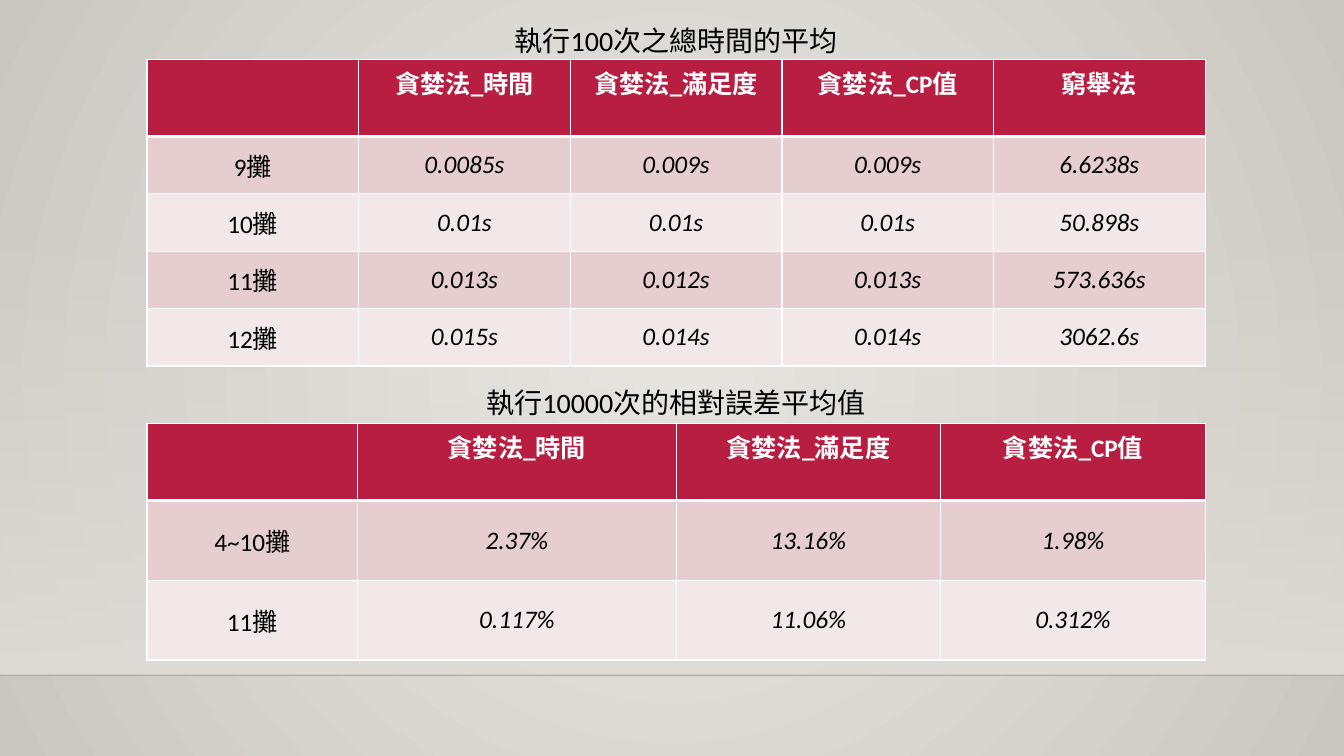
from lxml import etree
from pptx import Presentation
from pptx import util as u
from pptx.dml.color import RGBColor
from pptx.enum import shapes, text
from pptx.oxml import ns

Pt = u.Pt
WHITE = RGBColor(0xFF, 0xFF, 0xFF)
BLACK = RGBColor(0, 0, 0)
CRIMSON = RGBColor(0xB7, 0x1E, 0x42)
BANDS = (RGBColor(0xE6, 0xCD, 0xCF), RGBColor(0xF3, 0xE8, 0xE9))
GLOW = RGBColor(0xEC, 0xEA, 0xE7)
EDGE = RGBColor(0xCA, 0xC7, 0xC1)
HAZE = RGBColor(0xDF, 0xDB, 0xD5)
HORIZON = RGBColor(0, 0, 1)
FONT = "Calibri"
WIDTH, HEIGHT = 960, 540
LEFT, SPAN = 105, 756
HORIZON_Y = 482.4
HEADER_HEIGHT = 55
GREEDY = ["貪婪法_時間", "貪婪法_滿足度", "貪婪法_CP值"]


def add_child(parent, tag, **attributes):
    """Append a DrawingML element and return it."""
    return etree.SubElement(parent, ns.qn(tag), attributes)


def set_alpha(properties, index, percent):
    """Set the opacity of one of the colours inside an element."""
    colour = list(properties.iter(ns.qn("a:srgbClr")))[index]
    add_child(colour, "a:alpha", val=str(percent * 1000))


def set_gradient(fill, first, last):
    """Fill with a gradient of two colours."""
    fill.gradient()
    for stop, colour in zip(fill.gradient_stops, (first, last)):
        stop.color.rgb = colour


def paint_background(slide):
    """Paint the radial glow behind the slide."""
    set_gradient(slide.background.fill, GLOW, EDGE)
    linear = next(slide.element.iter(ns.qn("a:lin")))
    gradient = linear.getparent()
    gradient.remove(linear)
    radial = add_child(gradient, "a:path", path="circle")
    add_child(radial, "a:fillToRect", l="50000", t="50000", r="50000", b="50000")


def add_horizon(slide):
    """Add the haze that fades in downwards and the line below it."""
    haze_top = 159
    haze = slide.shapes.add_shape(shapes.MSO_SHAPE.RECTANGLE, 0, Pt(haze_top),
                                  Pt(WIDTH), Pt(HORIZON_Y - haze_top))
    haze.shadow.inherit = False
    set_gradient(haze.fill, HAZE, HAZE)
    haze.fill.gradient_angle = 270
    haze.line.fill.background()
    set_alpha(haze.element.spPr, 0, 0)
    horizon = slide.shapes.add_connector(shapes.MSO_CONNECTOR.STRAIGHT, 0,
                                         Pt(HORIZON_Y), Pt(WIDTH), Pt(HORIZON_Y))
    horizon.line.color.rgb = HORIZON
    horizon.line.width = Pt(1)
    set_alpha(horizon.element.spPr, 0, 20)
    add_child(horizon.element.spPr, "a:effectLst")


def write(frame, wording, size, colour, bold=False, italic=False):
    """Write one centred paragraph."""
    paragraph = frame.paragraphs[0]
    paragraph.text = wording
    paragraph.alignment = text.PP_ALIGN.CENTER
    font = paragraph.font
    font.name, font.size = FONT, Pt(size)
    font.bold, font.italic = bold, italic
    font.color.rgb = colour


def add_caption(slide, top, wording):
    """Add the caption above a table."""
    caption = slide.shapes.add_textbox(Pt(LEFT), Pt(top), Pt(SPAN), Pt(31.5))
    caption.text_frame.word_wrap = True
    write(caption.text_frame, wording, 20, BLACK)


def set_borders(cell, top, bottom):
    """Draw white cell borders with the given top and bottom widths."""
    properties = cell._tc.get_or_add_tcPr()
    widths = {"a:lnL": 1, "a:lnR": 1, "a:lnT": top, "a:lnB": bottom}
    for tag, width in widths.items():
        border = add_child(properties, tag, w=str(Pt(width)))
        add_child(add_child(border, "a:solidFill"), "a:srgbClr", val=str(WHITE))


def style_cell(cell, row, column, wording):
    """Write and colour one cell by its place in the table."""
    header = row == 0
    set_borders(cell, 3 if row == 1 else 1, 3 if header else 1)
    cell.fill.solid()
    cell.fill.fore_color.rgb = CRIMSON if header else BANDS[(row - 1) % 2]
    anchors = text.MSO_ANCHOR
    cell.vertical_anchor = anchors.TOP if header else anchors.MIDDLE
    write(cell.text_frame, wording, 18, WHITE if header else BLACK,
          bold=header, italic=not header and column > 0)


def add_results(slide, top, column_widths, row_height, records):
    """Add a table of results with a header row."""
    heights = [HEADER_HEIGHT] + [row_height] * (len(records) - 1)
    table = slide.shapes.add_table(len(records), len(column_widths), Pt(LEFT), Pt(top),
                                   Pt(SPAN), Pt(sum(heights))).table
    for column, width in zip(table.columns, column_widths):
        column.width = Pt(width)
    for row, height in zip(table.rows, heights):
        row.height = Pt(height)
    for r, record in enumerate(records):
        for c, wording in enumerate(record):
            style_cell(table.cell(r, c), r, c, wording)


def main():
    """Build the slide and save it."""
    deck = Presentation()
    deck.slide_width, deck.slide_height = Pt(WIDTH), Pt(HEIGHT)
    slide = deck.slides.add_slide(deck.slide_layouts[6])
    paint_background(slide)
    add_horizon(slide)
    add_results(slide, 42.5, [SPAN / 5] * 5, 41, [
        ["", *GREEDY, "窮舉法"],
        ["9攤", "0.0085s", "0.009s", "0.009s", "6.6238s"],
        ["10攤", "0.01s", "0.01s", "0.01s", "50.898s"],
        ["11攤", "0.013s", "0.012s", "0.013s", "573.636s"],
        ["12攤", "0.015s", "0.014s", "0.014s", "3062.6s"],
    ])
    add_results(slide, 302.5, [150.5, 227.5, 189, 189], 57, [
        ["", *GREEDY],
        ["4~10攤", "2.37%", "13.16%", "1.98%"],
        ["11攤", "0.117%", "11.06%", "0.312%"],
    ])
    add_caption(slide, 13, "執行100次之總時間的平均")
    add_caption(slide, 271.5, "執行10000次的相對誤差平均值")
    deck.save("out.pptx")


main()
